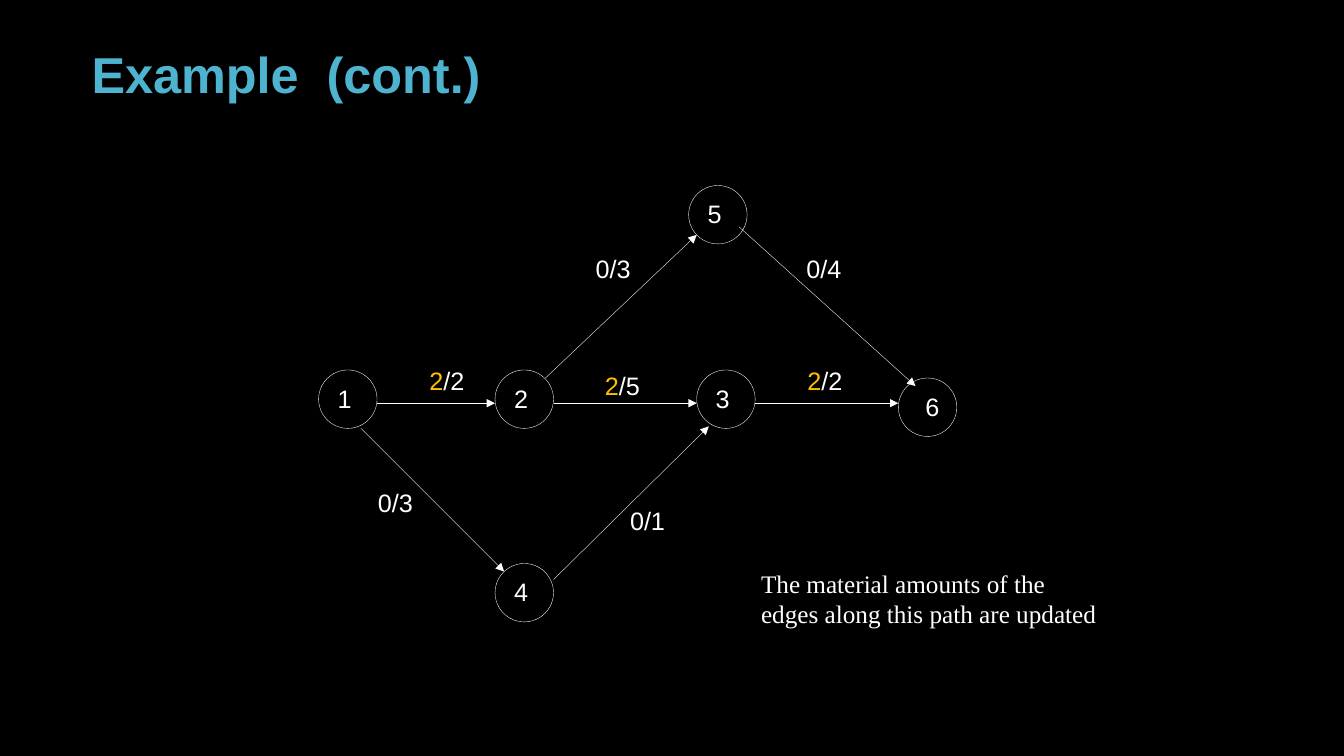
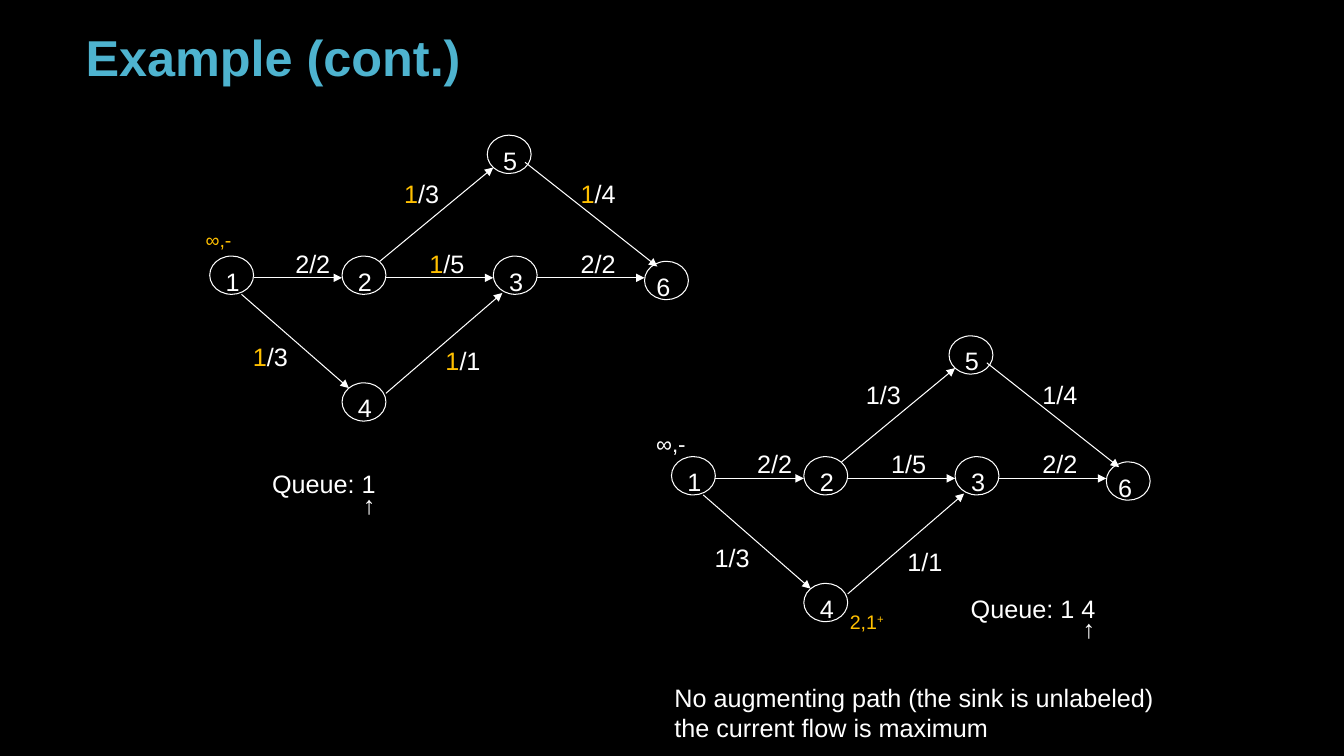
from dataclasses import dataclass

import pptx
import pptx.dml.color
import pptx.enum.shapes
import pptx.enum.text
import pptx.oxml.ns
import pptx.util
from lxml import etree

Inches = pptx.util.Inches
Pt = pptx.util.Pt
RGBColor = pptx.dml.color.RGBColor
qn = pptx.oxml.ns.qn

BLACK = RGBColor(0x00, 0x00, 0x00)
WHITE = RGBColor(0xFF, 0xFF, 0xFF)
AMBER = RGBColor(0xFF, 0xC0, 0x00)
TEAL = RGBColor(0x4E, 0xB3, 0xCF)

# Unscaled network, measured in inches from the top left corner of node 1.
NODE_SIZE = 0.58
NODES = {1: (0, 0), 2: (1.75, 0), 3: (3.75, 0),
         4: (1.75, 1.92), 5: (3.67, -1.83), 6: (5.75, 0.08)}
EDGES = {
    "1-4": ((0.42, 0.58), (1.84, 2)),
    "1-2": ((0.58, 0.33), (1.75, 0.33)),
    "2-5": ((2.25, 0.08), (3.75, -1.34)),
    "2-3": ((2.33, 0.33), (3.75, 0.33)),
    "4-3": ((2.33, 2.08), (3.87, 0.56)),
    "3-6": ((4.33, 0.33), (5.75, 0.33)),
    "5-6": ((4.17, -1.42), (5.92, 0.16)),
}
CAPACITIES = {"1-4": 3, "1-2": 2, "2-5": 3, "2-3": 5, "4-3": 1, "3-6": 2, "5-6": 4}


@dataclass
class NetworkStyle:
    """Scale of a network, its line width, and label offsets in inches."""
    scale: tuple
    line_width: float
    digit_offset: tuple
    sink_digit_offset: tuple
    edge_labels: dict


LARGE = NetworkStyle(
    (1, 1), 0.25, (0.09, 0.08), (0.17, 0.08),
    {"1-4": (0.49, 1.12), "1-2": (1, -0.09), "2-5": (2.65, -1.21),
     "2-3": (2.74, -0.05), "4-3": (2.99, 1.29), "3-6": (4.75, -0.09),
     "5-6": (4.74, -1.21)})
SMALL = NetworkStyle(
    (0.75, 0.655), 0.75, (0.06, 0.05), (0.02, 0.05),
    {"1-4": (0.33, 0.8), "1-2": (0.75, -0.13), "2-5": (1.83, -0.82),
     "2-3": (2.08, -0.13), "4-3": (2.24, 0.84), "3-6": (3.58, -0.13),
     "5-6": (3.58, -0.82)})


def add_slide(presentation):
    slide = presentation.slides.add_slide(presentation.slide_layouts[6])
    slide.background.fill.solid()
    slide.background.fill.fore_color.rgb = BLACK
    return slide


def format_run(run, size, color, font="Arial", bold=False):
    run.font.size = Pt(size)
    run.font.name = font
    run.font.bold = bold
    run.font.color.rgb = color


def add_text(shapes, box, runs, size=18, font="Arial", bold=False, wrap=True):
    """Add a text box at (left, top, width, height) with (text, colour) runs."""
    text_frame = shapes.add_textbox(*map(Inches, box)).text_frame
    text_frame.word_wrap = wrap
    for text, color in runs:
        run = text_frame.paragraphs[0].add_run()
        run.text = text
        format_run(run, size, color, font, bold)
    return text_frame


def add_title(slide, left, top, text):
    text_frame = add_text(slide.shapes, (left, top, 10, 0.71), [(text, TEAL)], 36, bold=True)
    text_frame.vertical_anchor = pptx.enum.text.MSO_ANCHOR.BOTTOM


def add_node(shapes, left, top, width, height, line_width):
    circle = shapes.add_shape(pptx.enum.shapes.MSO_SHAPE.OVAL,
                              *map(Inches, (left, top, width, height)))
    circle.shadow.inherit = False
    circle.fill.background()
    circle.line.color.rgb = WHITE
    circle.line.width = Pt(line_width)


def add_arrow(shapes, start, end, line_width):
    arrow = shapes.add_connector(pptx.enum.shapes.MSO_CONNECTOR.STRAIGHT,
                                 *map(Inches, (*start, *end)))
    arrow.line.color.rgb = WHITE
    arrow.line.width = Pt(line_width)
    etree.SubElement(arrow.line._get_or_add_ln(), qn("a:tailEnd"), type="triangle")
    etree.SubElement(arrow._element.spPr, qn("a:effectLst"))


def add_network(slide, origin, style, flows, highlighted=()):
    """Draw the flow network with node 1 at origin; highlighted flows are amber."""
    shapes = slide.shapes.add_group_shape().shapes

    def shift(point, offset):
        return point[0] + offset[0], point[1] + offset[1]

    def place(point):
        return shift(origin, (point[0] * style.scale[0], point[1] * style.scale[1]))

    width, height = (NODE_SIZE * factor for factor in style.scale)
    for corner in NODES.values():
        add_node(shapes, *place(corner), width, height, style.line_width)
    for start, end in EDGES.values():
        add_arrow(shapes, place(start), place(end), style.line_width)
    for number, corner in NODES.items():
        offset = style.sink_digit_offset if number == 6 else style.digit_offset
        add_text(shapes, (*shift(place(corner), offset), 0.34, 0.4),
                 [(str(number), WHITE)], wrap=False)
    for edge, offset in style.edge_labels.items():
        flow_color = AMBER if edge in highlighted else WHITE
        add_text(shapes, (*shift(origin, offset), 0.55, 0.4),
                 [(str(flows[edge]), flow_color), (f"/{CAPACITIES[edge]}", WHITE)], wrap=False)


def add_queue(slide, left, top, text, arrow_indent):
    """Add the queue with an arrow below its current entry."""
    text_frame = add_text(slide.shapes, (left, top, 1.56, 0.44), [(text, WHITE)])
    pointer = text_frame.add_paragraph()
    pointer.text = "↑"
    format_run(pointer.runs[0], 18, WHITE)
    pointer._p.get_or_add_pPr().set("marL", str(Inches(arrow_indent)))
    pointer.space_before = Pt(9)
    for paragraph in text_frame.paragraphs:
        paragraph.line_spacing = 0.25


def build_updated_path_slide(presentation):
    slide = add_slide(presentation)
    path = ("1-2", "2-3", "3-6")
    flows = {edge: 2 if edge in path else 0 for edge in EDGES}
    add_network(slide, (3.16, 3.67), LARGE, flows, path)
    add_text(slide.shapes, (7.45, 5.59, 3.55, 0.71),
             [("The material amounts of the edges along this path are updated", WHITE)],
             font="Times New Roman")
    add_title(slide, 0.81, 0.37, "Example  (cont.)")


def build_maximum_flow_slide(presentation):
    slide = add_slide(presentation)
    full = ("1-2", "3-6")
    flows = {edge: 2 if edge in full else 1 for edge in EDGES}
    updated = [edge for edge in EDGES if edge not in full]
    add_network(slide, (2.08, 2.54), SMALL, flows, updated)
    add_network(slide, (6.66, 4.53), SMALL, flows)
    add_text(slide.shapes, (1.94, 2.21, 0.55, 0.34), [("∞,-", AMBER)], 14)
    add_text(slide.shapes, (6.41, 4.22, 0.5, 0.37), [("∞,-", WHITE)], 16)
    node_label = add_text(slide.shapes, (8.33, 6, 0.58, 0.33), [("2,1", AMBER), ("+", AMBER)], 14)
    node_label.paragraphs[0].runs[1]._r.get_or_add_rPr().set("baseline", "30000")
    add_queue(slide, 2.6, 4.79, "Queue: 1", 0.9)
    add_queue(slide, 9.53, 6.03, "Queue: 1 4", 1.11)
    add_text(slide.shapes, (6.59, 6.72, 5, 0.7),
             [("No augmenting path (the sink is unlabeled) the current flow is maximum", WHITE)])
    add_title(slide, 0.75, 0.2, "Example (cont.)")


def main():
    presentation = pptx.Presentation()
    presentation.slide_width = Inches(13.33)
    presentation.slide_height = Inches(7.5)
    build_updated_path_slide(presentation)
    build_maximum_flow_slide(presentation)
    presentation.save("out.pptx")


if __name__ == "__main__":
    main()
